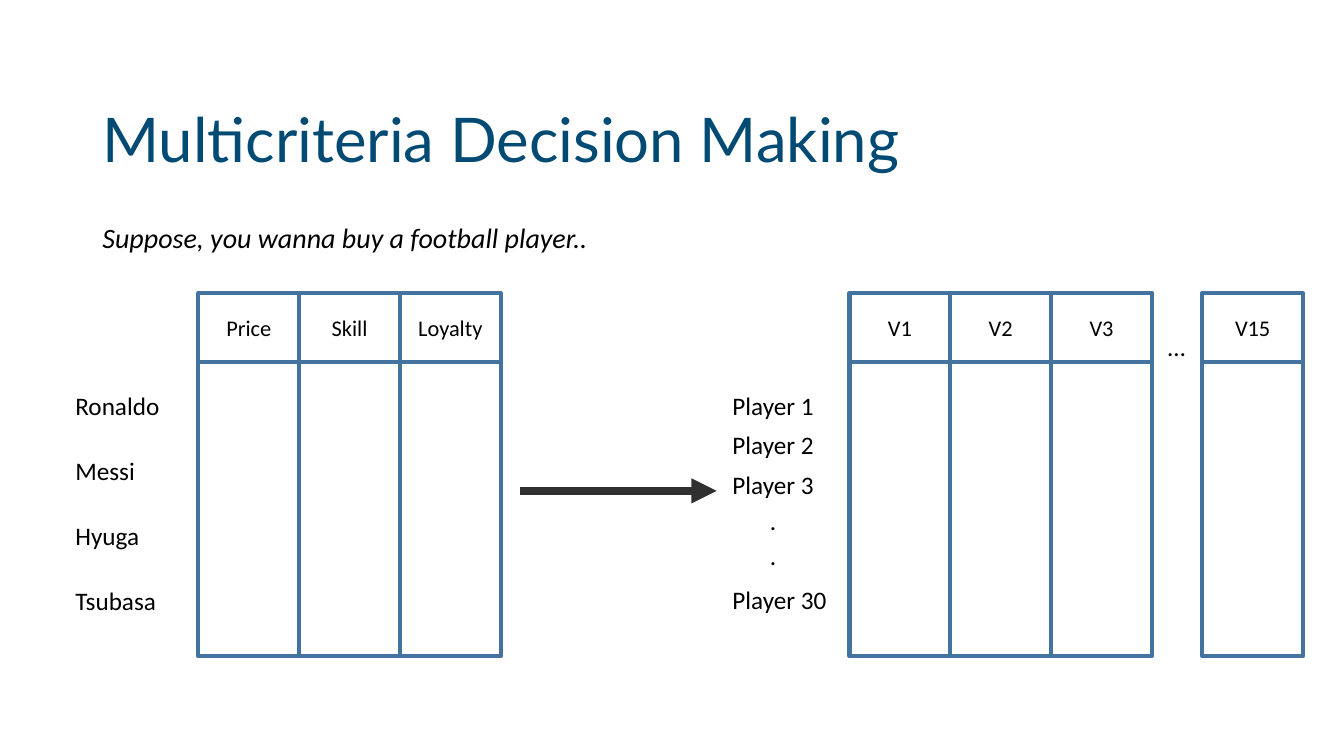
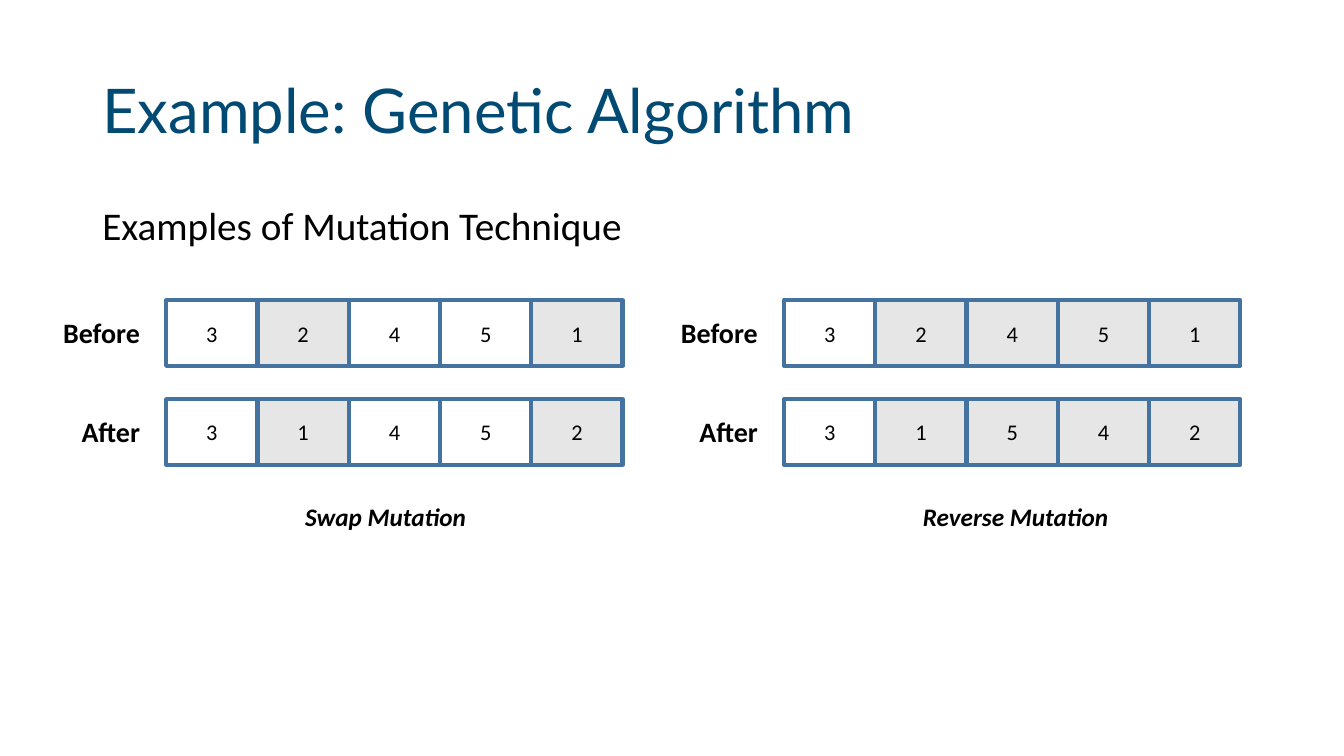
from lxml import etree
from pptx import Presentation
from pptx.dml.color import RGBColor
from pptx.enum.shapes import MSO_CONNECTOR as Connector, MSO_SHAPE as Shape
from pptx.enum.text import MSO_ANCHOR as Anchor, PP_ALIGN as Align
from pptx.oxml.ns import qn
from pptx.util import Cm, Pt

# Shared look
NAVY = RGBColor(0x01, 0x4A, 0x73)
BLUE = RGBColor(0x43, 0x73, 0x9E)
CHARCOAL = RGBColor(0x30, 0x30, 0x30)
BLACK = RGBColor(0, 0, 0)
WHITE = RGBColor(0xFF, 0xFF, 0xFF)
GREY = RGBColor(0xE7, 0xE6, 0xE6)
TITLE_FONT, BODY_FONT = "Lato", "Calibri"
MARGIN, CONTENT_WIDTH = 2.33, 29.21

# Criteria tables
COLUMN_WIDTH = 2.54
HEADER_TOP, HEADER_HEIGHT = 7.39, 1.73
COLUMN_TOP, COLUMN_HEIGHT = HEADER_TOP + HEADER_HEIGHT, 7.42
LABEL_TOP, LABEL_HEIGHT = 9.7, 1.02

# Gene rows
GENE_WIDTH, GENE_HEIGHT = 2.3, 1.65
GENE_TOP, ROW_STEP = 7.57, 2.49


def write(frame, text, size=18, font=BODY_FONT, color=BLACK, bold=False,
          italic=False, align=Align.LEFT, anchor=Anchor.TOP, spacing=1.0):
    frame.word_wrap = True
    frame.vertical_anchor = anchor
    para = frame.paragraphs[0]
    para.alignment = align
    para.line_spacing = spacing
    span = para.add_run()
    span.text = text
    span.font.name = font
    span.font.size = Pt(size)
    span.font.color.rgb = color
    span.font.bold = bold
    span.font.italic = italic


def add_text(page, text, left, top, width, height=LABEL_HEIGHT, **style):
    box = page.shapes.add_textbox(Cm(left), Cm(top), Cm(width), Cm(height))
    write(box.text_frame, text, **style)


def add_title(page, text, top):
    add_text(page, text, MARGIN, top, CONTENT_WIDTH, 3.68, size=44,
             font=TITLE_FONT, color=NAVY, anchor=Anchor.MIDDLE, spacing=0.9)


def add_cell(page, left, top, width, height, text="", fill=None):
    cell = page.shapes.add_shape(Shape.RECTANGLE, Cm(left), Cm(top),
                                 Cm(width), Cm(height))
    cell.shadow.inherit = False
    if fill is None:
        cell.fill.background()
    else:
        cell.fill.solid()
        cell.fill.fore_color.rgb = fill
    cell.line.color.rgb = BLUE
    cell.line.width = Pt(3)
    if text:
        write(cell.text_frame, text, size=16, align=Align.CENTER,
              anchor=Anchor.MIDDLE)


def add_columns(page, left, headings):
    for index, heading in enumerate(headings):
        x = left + index * COLUMN_WIDTH
        add_cell(page, x, HEADER_TOP, COLUMN_WIDTH, HEADER_HEIGHT, heading)
        add_cell(page, x, COLUMN_TOP, COLUMN_WIDTH, COLUMN_HEIGHT)


def add_labels(page, labels, left, top, step):
    for index, label in enumerate(labels):
        add_text(page, label, left, top + index * step, 3.2)


def add_arrow(page, start, end, y):
    arrow = page.shapes.add_connector(Connector.STRAIGHT, Cm(start), Cm(y),
                                      Cm(end), Cm(y))
    arrow.line.color.rgb = CHARCOAL
    arrow.line.width = Pt(6)
    line = arrow.line._get_or_add_ln()
    etree.SubElement(line, qn("a:tailEnd"), type="triangle")
    etree.SubElement(arrow._element.spPr, qn("a:effectLst"))


def add_mutation(page, left, caption, rows, changed):
    for row, (label, genes) in enumerate(rows):
        top = GENE_TOP + row * ROW_STEP
        add_text(page, label, left - 3.01, top + 0.25, 2.6, 1.11, size=20,
                 bold=True, align=Align.RIGHT)
        for index, gene in enumerate(genes):
            add_cell(page, left + index * GENE_WIDTH, top, GENE_WIDTH,
                     GENE_HEIGHT, gene, GREY if index in changed else WHITE)
    add_text(page, caption, left + 3.25, 12.52, 6, bold=True, italic=True)


def build_decision_page(page):
    add_title(page, "Multicriteria Decision Making", 1.75)
    add_text(page, "Suppose, you wanna buy a football player..", MARGIN, 5.44,
             14, 1.11, size=20, italic=True)
    # Small problem
    add_columns(page, 5, ["Price", "Skill", "Loyalty"])
    add_labels(page, ["Ronaldo", "Messi", "Hyuga", "Tsubasa"],
               1.65, LABEL_TOP, 1.64)
    add_arrow(page, 13.11, 18.06, 12.37)
    # Large problem
    add_columns(page, 21.41, ["V1", "V2", "V3"])
    add_text(page, "…", 29.18, 8.23, 1.2)
    add_columns(page, 30.3, ["V15"])
    add_labels(page, ["Player 1", "Player 2", "Player 3"], 18.21, LABEL_TOP, 1)
    add_labels(page, [".", "."], 19.15, 12.62, 0.87)
    add_labels(page, ["Player 30"], 18.21, 14.61, 0)


def build_mutation_page(page):
    add_title(page, "Example: Genetic Algorithm", 1.02)
    add_text(page, "Examples of Mutation Technique", MARGIN, 5.08,
             CONTENT_WIDTH, 1.4, size=28, spacing=0.9)
    add_mutation(page, 4.19, "Swap Mutation",
                 [("Before", "32451"), ("After", "31452")], {1, 4})
    add_mutation(page, 19.76, "Reverse Mutation",
                 [("Before", "32451"), ("After", "31542")], {1, 2, 3, 4})


def main():
    deck = Presentation()
    deck.slide_width, deck.slide_height = Cm(33.87), Cm(19.05)
    blank = deck.slide_layouts[6]
    for build in (build_decision_page, build_mutation_page):
        build(deck.slides.add_slide(blank))
    deck.save("out.pptx")


if __name__ == "__main__":
    main()
